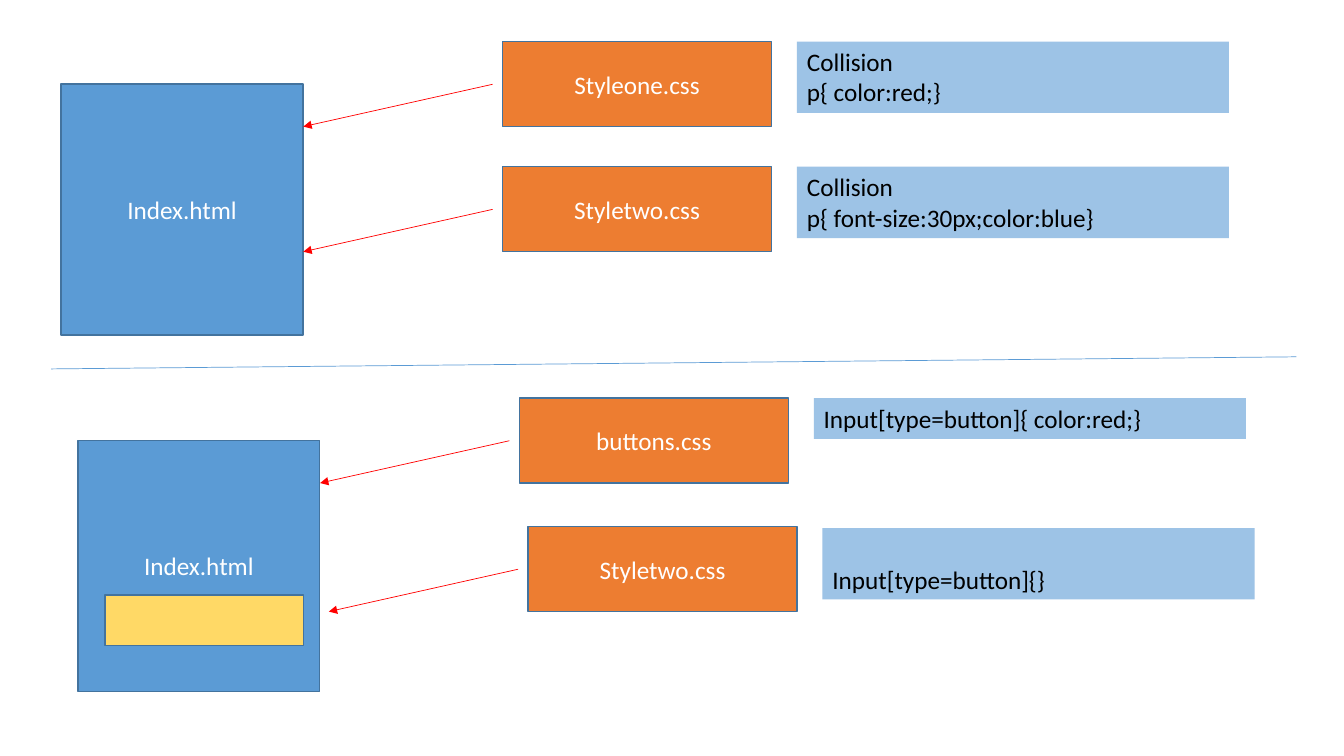
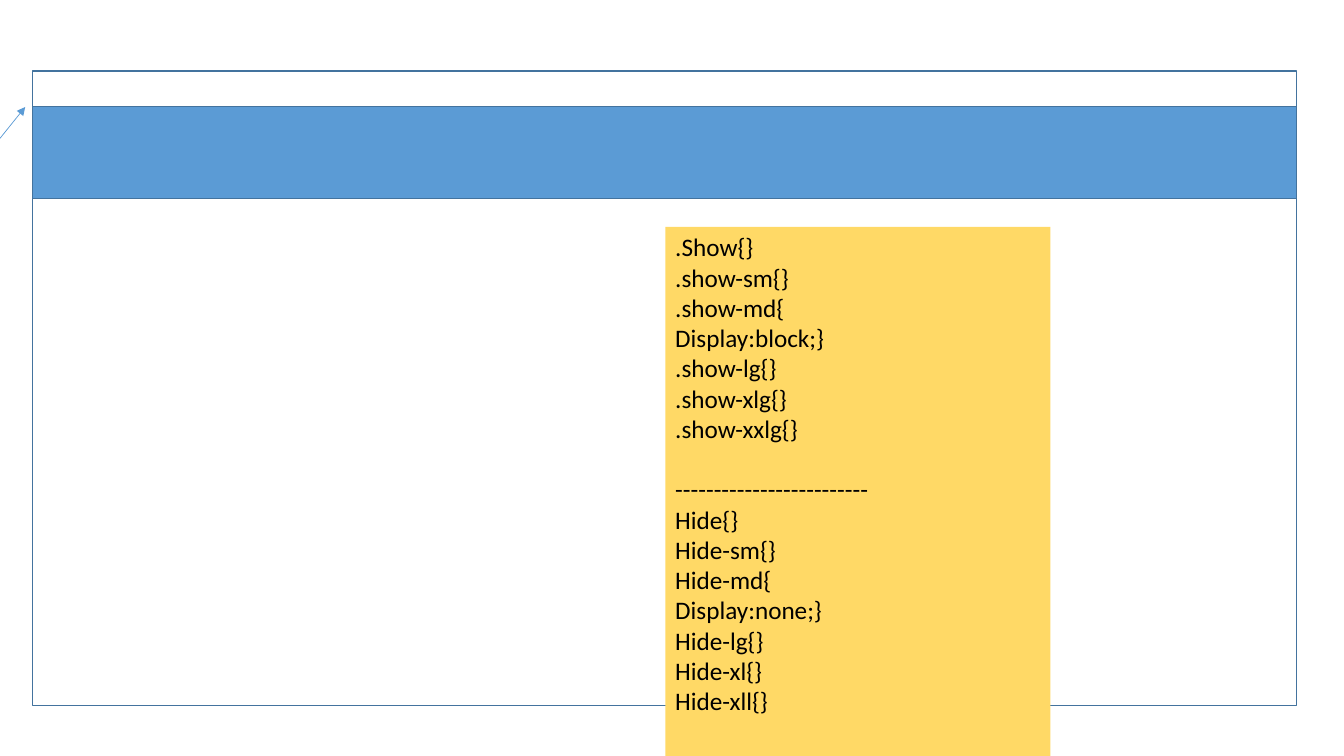
from dataclasses import dataclass
from typing import NamedTuple, Optional

from lxml.etree import SubElement as add_node
from pptx import Presentation as Deck
from pptx.dml.color import RGBColor as Color
from pptx.enum.shapes import MSO_CONNECTOR as Link, MSO_SHAPE as Kind
from pptx.enum.text import MSO_ANCHOR as Anchor, PP_ALIGN as Align
from pptx.oxml.ns import qn
from pptx.slide import Slide
from pptx.text.text import TextFrame as Frame
from pptx.util import Inches, Pt


@dataclass(frozen=True)
class Theme:
    blue: str = "5B9BD5"
    pale: str = "9DC3E6"
    orange: str = "ED7D31"
    gold: str = "FFD966"
    edge: str = "43739E"
    red: str = "FF0000"
    white: str = "FFFFFF"
    black: str = "000000"
    font: str = "Calibri"
    size: float = 18
    gap: float = 21.6
    border: float = 1
    thin: float = 0.5


class Spot(NamedTuple):
    x: float
    y: float

    def move(self, dx: float, dy: float) -> "Spot":
        return Spot(self.x + dx, self.y + dy)


class Size(NamedTuple):
    w: float
    h: float


Groups = tuple[tuple[str, ...], ...]


@dataclass(frozen=True)
class Sheet:
    at: Spot
    name: str
    rules: Groups
    high: float
    drop: float = 0
    anchor: Anchor = Anchor.TOP


THEME = Theme()
WIDE, TALL = Inches(13.333), Inches(7.5)
PAGE, STYLE = Size(18, 33.2), Size(20, 11.25)
NOTE_W, TWO, ONE = 32.15, 9.45, 5.4

SHEETS = (
    Sheet(Spot(37.4, 5.5), "Styleone.css",
          (("Collision", "p{ color:red;}"),), TWO),
    Sheet(Spot(37.4, 22.05), "Styletwo.css",
          (("Collision", "p{ font-size:30px;color:blue}"),), TWO),
    Sheet(Spot(38.65, 52.65), "buttons.css",
          (("Input[type=button]{ color:red;}",),), ONE),
    Sheet(Spot(39.3, 69.65), "Styletwo.css",
          (("Input[type=button]{}",),), TWO, 0.2, Anchor.BOTTOM),
)

CLASSES: Groups = (
    (".Show{}", ".show-sm{}", ".show-md{", "Display:block;}",
     ".show-lg{}", ".show-xlg{}", ".show-xxlg{}"),
    ("-" * 25, "Hide{}", "Hide-sm{}", "Hide-md{", "Display:none;}",
     "Hide-lg{}", "Hide-xl{}", "Hide-xll{}"),
)


def across(share: float) -> int:
    return round(WIDE * share / 100)


def down(share: float) -> int:
    return round(TALL * share / 100)


def area(at: Spot, size: Size) -> tuple[int, int, int, int]:
    return across(at.x), down(at.y), across(size.w), down(size.h)


def write(frame: Frame, groups: Groups, tint: str, align: Align) -> None:
    frame.word_wrap = True
    para = frame.paragraphs[0]
    fresh = True
    for group in groups:
        for row, words in enumerate(group):
            if not fresh:
                para = frame.add_paragraph()
                para.space_before = Pt(0 if row else THEME.gap)
            fresh = False
            para.alignment = align
            run = para.add_run()
            run.text = words
            run.font.name = THEME.font
            run.font.size = Pt(THEME.size)
            run.font.color.rgb = Color.from_string(tint)


def block(slide: Slide, at: Spot, size: Size, fill: Optional[str],
          label: str = "") -> None:
    shape = slide.shapes.add_shape(Kind.RECTANGLE, *area(at, size))
    shape.shadow.inherit = False
    if fill:
        shape.fill.solid()
        shape.fill.fore_color.rgb = Color.from_string(fill)
    else:
        shape.fill.background()
    shape.line.color.rgb = Color.from_string(THEME.edge)
    shape.line.width = Pt(THEME.border)
    if label:
        shape.text_frame.vertical_anchor = Anchor.MIDDLE
        write(shape.text_frame, ((label,),), THEME.white, Align.CENTER)


def note(slide: Slide, at: Spot, size: Size, fill: str, rules: Groups,
         anchor: Anchor = Anchor.TOP) -> None:
    box = slide.shapes.add_textbox(*area(at, size))
    box.fill.solid()
    box.fill.fore_color.rgb = Color.from_string(fill)
    box.text_frame.vertical_anchor = anchor
    write(box.text_frame, rules, THEME.black, Align.LEFT)


def stroke(slide: Slide, start: Spot, end: Spot, tint: str,
           arrow: bool = True) -> None:
    line = slide.shapes.add_connector(
        Link.STRAIGHT, across(start.x), down(start.y),
        across(end.x), down(end.y))
    line.line.color.rgb = Color.from_string(tint)
    line.line.width = Pt(THEME.thin)
    props = line._element.spPr
    if arrow:
        add_node(props.find(qn("a:ln")), qn("a:tailEnd"), type="triangle")
    add_node(props, qn("a:effectLst"))


def page(slide: Slide, first: Sheet) -> None:
    block(slide, first.at.move(-32.85, 5.6), PAGE, THEME.blue, "Index.html")


def sheet(slide: Slide, item: Sheet) -> None:
    block(slide, item.at, STYLE, THEME.orange, item.name)
    stroke(slide, item.at.move(-0.75, 5.65),
           item.at.move(-14.83, 11.25), THEME.red)
    note(slide, item.at.move(21.9, item.drop), Size(NOTE_W, item.high),
         THEME.pale, item.rules, item.anchor)


def styles(slide: Slide) -> None:
    for first in SHEETS[::2]:
        page(slide, first)
    for item in SHEETS:
        sheet(slide, item)
    stroke(slide, Spot(3.8, 48.8), Spot(96.45, 47.2), THEME.blue, False)
    block(slide, Spot(7.8, 78.7), Size(14.8, 6.65), THEME.gold)


def layout(slide: Slide) -> None:
    left, wide = 2.4, 94.05
    block(slide, Spot(left, 9.4), Size(wide, 83.9), None)
    stroke(slide, Spot(0, 18.3), Spot(1.88, 14.15), THEME.blue)
    block(slide, Spot(left, 14.1), Size(wide, 12.15), THEME.blue)
    note(slide, Spot(49.5, 30), Size(28.65, 70), THEME.gold, CLASSES)


def main() -> None:
    deck = Deck()
    deck.slide_width, deck.slide_height = WIDE, TALL
    blank = deck.slide_layouts[6]
    for draw in (styles, layout):
        draw(deck.slides.add_slide(blank))
    deck.save("out.pptx")


main()
